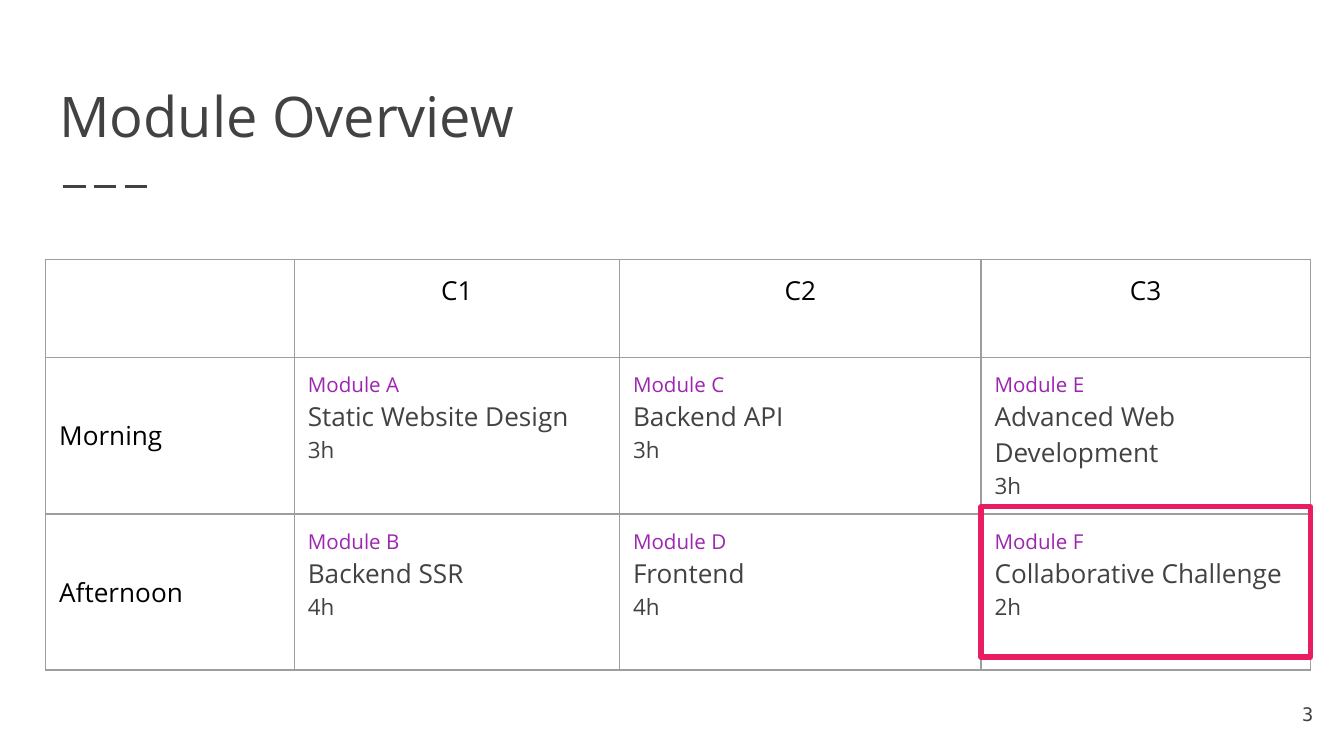
from lxml.etree import SubElement
from pptx import Presentation
from pptx.dml.color import RGBColor
from pptx.enum.dml import MSO_LINE
from pptx.enum.shapes import MSO_CONNECTOR, MSO_SHAPE
from pptx.enum.text import MSO_ANCHOR, MSO_AUTO_SIZE, PP_ALIGN
from pptx.oxml.ns import qn
from pptx.util import Inches, Pt

TITLE = "Module Overview"
PAGE_NUMBER = "3"
SESSIONS = ["C1", "C2", "C3"]
SCHEDULE = {
    "Morning": [
        ("Module A", "Static Website Design", "3h"),
        ("Module C", "Backend API", "3h"),
        ("Module E", "Advanced Web Development", "3h"),
    ],
    "Afternoon": [
        ("Module B", "Backend SSR", "4h"),
        ("Module D", "Frontend", "4h"),
        ("Module F", "Collaborative Challenge", "2h"),
    ],
}

COLORS = {"text": "424242", "label": "000000", "module": "9C26B0",
          "grid": "9E9E9E", "highlight": "E91D63"}
FONT = "Open Sans"
NUMBER_FONT = "DejaVu Sans Mono"
LABEL_STYLE = (14, "label")
MODULE_STYLES = [(11, "module"), (14, "text"), (12, "text")]

SLIDE_WIDTH = 10
SLIDE_HEIGHT = SLIDE_WIDTH * 9 / 16
LEFT, TABLE_TOP = 0.34, 1.93
COLUMNS = [1.85, 2.42, 2.69, 2.45]
ROWS = [0.73, 1.16, 1.16]
MARGIN = 0.1


def color(name):
    return RGBColor.from_string(COLORS[name])


def set_margins(target):
    for side in ("left", "right", "top", "bottom"):
        setattr(target, f"margin_{side}", Inches(MARGIN))


def write(text_frame, lines, styles, align=PP_ALIGN.LEFT, font=FONT):
    """Write one paragraph per line, each with its (size, color) style."""
    for index, (line, (size, color_name)) in enumerate(zip(lines, styles)):
        paragraph = text_frame.paragraphs[0] if index == 0 else text_frame.add_paragraph()
        paragraph.alignment = align
        run = paragraph.add_run()
        run.text = line
        run.font.color.rgb = color(color_name)
        for name, value in {"name": font, "size": Pt(size), "bold": False}.items():
            setattr(run.font, name, value)


def prepare_frame(text_frame, anchor):
    set_margins(text_frame)
    settings = {"word_wrap": True, "auto_size": MSO_AUTO_SIZE.NONE, "vertical_anchor": anchor}
    for name, value in settings.items():
        setattr(text_frame, name, value)


def place(shape, *box):
    for name, value in zip(("left", "top", "width", "height"), box):
        setattr(shape, name, Inches(value))


def add_borders(cell):
    properties = cell._tc.get_or_add_tcPr()
    for side in "LRTB":
        line = SubElement(properties, qn(f"a:ln{side}"), w=str(Pt(0.75)))
        fill = SubElement(line, qn("a:solidFill"))
        SubElement(fill, qn("a:srgbClr"), val=COLORS["grid"])


def add_title(slide):
    title = slide.shapes.title
    place(title, LEFT, 0.41, SLIDE_WIDTH - 2 * LEFT, 0.8)
    prepare_frame(title.text_frame, MSO_ANCHOR.BOTTOM)
    write(title.text_frame, [TITLE], [(30, "text")])
    start, end, level = Inches(0.47), Inches(1.14), Inches(1.39)
    dashes = slide.shapes.add_connector(MSO_CONNECTOR.STRAIGHT, start, level, end, level)
    dashes.line.color.rgb = color("text")
    dashes.line.width = Pt(1.5)
    dashes.line.dash_style = MSO_LINE.LONG_DASH
    SubElement(dashes._element.spPr, qn("a:effectLst"))


def add_schedule(slide):
    box = map(Inches, (LEFT, TABLE_TOP, sum(COLUMNS), sum(ROWS)))
    table = slide.shapes.add_table(len(ROWS), len(COLUMNS), *box).table
    table.first_row = table.horz_banding = False
    for column, width in zip(table.columns, COLUMNS):
        column.width = Inches(width)
    for row, height in zip(table.rows, ROWS):
        row.height = Inches(height)
    for cell in table.iter_cells():
        set_margins(cell)
        add_borders(cell)
        cell.fill.background()
    for column, session in enumerate(SESSIONS, 1):
        write(table.cell(0, column).text_frame, [session], [LABEL_STYLE], PP_ALIGN.CENTER)
    for row, (period, modules) in enumerate(SCHEDULE.items(), 1):
        label = table.cell(row, 0)
        label.vertical_anchor = MSO_ANCHOR.MIDDLE
        write(label.text_frame, [period], [LABEL_STYLE])
        for column, module in enumerate(modules, 1):
            write(table.cell(row, column).text_frame, module, MODULE_STYLES)


def add_page_number(slide):
    box = slide.shapes.add_textbox(*map(Inches, (9.27, 5.1, 0.6, 0.43)))
    prepare_frame(box.text_frame, MSO_ANCHOR.MIDDLE)
    write(box.text_frame, [PAGE_NUMBER], [(10, "text")], PP_ALIGN.RIGHT, NUMBER_FONT)


def add_highlight(slide):
    """Frame the last module of the schedule."""
    left = LEFT + sum(COLUMNS[:-1])
    box = map(Inches, (left, 3.77, COLUMNS[-1], 1.12))
    frame = slide.shapes.add_shape(MSO_SHAPE.RECTANGLE, *box)
    frame.shadow.inherit = False
    frame.fill.background()
    frame.line.color.rgb = color("highlight")
    frame.line.width = Pt(3)
    SubElement(frame.line._get_or_add_ln(), qn("a:round"))


def main():
    presentation = Presentation()
    presentation.slide_width = Inches(SLIDE_WIDTH)
    presentation.slide_height = Inches(SLIDE_HEIGHT)
    slide = presentation.slides.add_slide(presentation.slide_layouts[5])
    for add_part in (add_title, add_schedule, add_page_number, add_highlight):
        add_part(slide)
    presentation.save("out.pptx")


if __name__ == "__main__":
    main()
